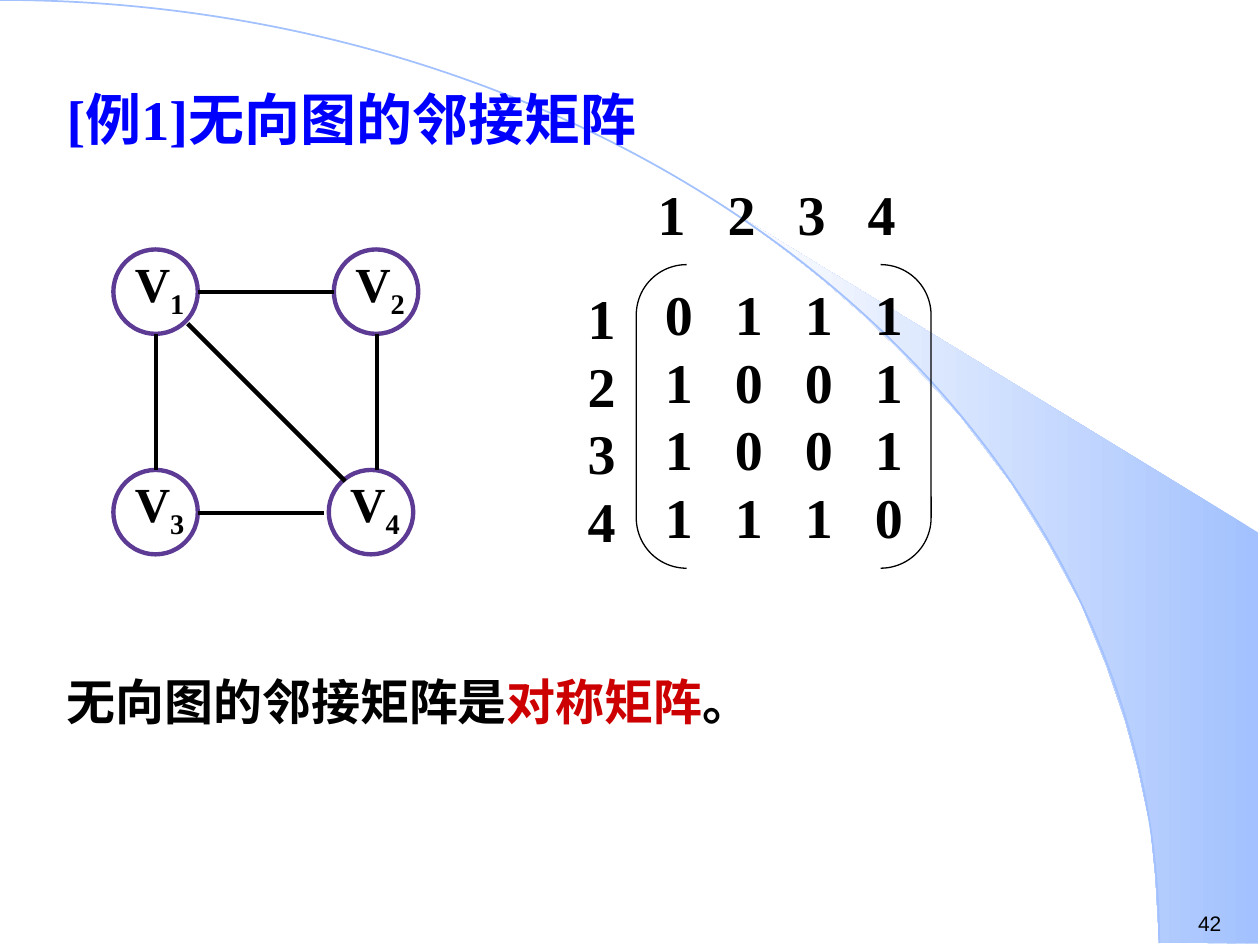
from dataclasses import dataclass

from lxml.etree import SubElement
from pptx import Presentation
from pptx.dml.color import RGBColor as RGB
from pptx.enum.shapes import MSO_CONNECTOR as Connector, MSO_SHAPE as Preset
from pptx.enum.text import MSO_ANCHOR as Anchor, PP_ALIGN as Align
from pptx.oxml.ns import qn
from pptx.util import Pt

PX = 9144  # 100 px to the inch


@dataclass(frozen=True)
class Theme:
    serif: str = "Times New Roman"
    sans: str = "Arial"
    black: RGB = RGB(0x00, 0x00, 0x00)
    blue: RGB = RGB(0x00, 0x00, 0xFF)
    red: RGB = RGB(0xCC, 0x00, 0x00)
    purple: RGB = RGB(0x5D, 0x3B, 0x95)
    sky: RGB = RGB(0xA2, 0xC1, 0xFE)
    pale: RGB = RGB(0xFE, 0xFE, 0xFE)
    large: int = 32
    medium: int = 28
    small: int = 12


THEME = Theme()

# Content
TITLE = "[例1]无向图的邻接矩阵"
CONCLUSION = [("无向图的邻接矩阵是", THEME.black), ("对称矩阵", THEME.red), ("。", THEME.black)]
PAGE_NUMBER = "42"
INDICES = ["1", "2", "3", "4"]
MATRIX = ["0111", "1001", "1001", "1110"]
NODES = {"1": (90, 198), "2": (265, 198), "3": (90, 373), "4": (261, 373)}
DIAMETER = 67
EDGES = [
    (157, 232, 265, 232),
    (299, 265, 299, 373),
    (157, 407, 257, 407),
    (124, 265, 124, 373),
    (149, 257, 274, 382),
]
SWOOSH = [
    (920, 748), (999, 749), (999, 423), (589, 173), (624, 199), (653, 222),
    (685, 250), (716, 280), (762, 330), (803, 384), (832, 431), (858, 479),
    (878, 528), (893, 572), (903, 609), (913, 656), (917, 696),
]
COLUMN_STEP = Pt(40)
MATRIX_LEADING = Pt(38.6)
NODE_LEADING = Pt(33.8)
BODY_LEADING = 0.9


def px(*lengths):
    return [length * PX for length in lengths]


def set_margins(frame, horizontal=0, vertical=0):
    frame.margin_left = frame.margin_right = horizontal * PX
    frame.margin_top = frame.margin_bottom = vertical * PX


def add_box(page, area, horizontal=0, vertical=0):
    frame = page.shapes.add_textbox(*px(*area)).text_frame
    frame.word_wrap = True
    set_margins(frame, horizontal, vertical)
    return frame


def style(para, size, color=THEME.black, name=THEME.serif, bold=True, leading=None):
    para.font.size = Pt(size)
    para.font.name = name
    para.font.bold = bold
    para.font.color.rgb = color
    para.line_spacing = leading


def write_rows(frame, rows, align=Align.LEFT):
    """Write one paragraph per row, with a tab stop for each later column."""
    frame.text = "\n".join("\t".join(row) for row in rows)
    for row, para in zip(rows, frame.paragraphs):
        if len(row) > 1:
            tabs = SubElement(para._p.get_or_add_pPr(), qn("a:tabLst"))
            for column in range(1, len(row)):
                SubElement(tabs, qn("a:tab"), pos=str(column * COLUMN_STEP), algn="l")
        para.alignment = align
        style(para, THEME.large, leading=MATRIX_LEADING)


def add_outline(page, preset, area, color, width):
    shape = page.shapes.add_shape(preset, *px(*area))
    shape.shadow.inherit = False
    shape.fill.background()
    shape.line.color.rgb = color
    shape.line.width = Pt(width)
    return shape


def add_backdrop(page):
    builder = page.shapes.build_freeform(*SWOOSH[0], scale=PX)
    builder.add_line_segments(SWOOSH[1:], close=True)
    swoosh = builder.convert_to_shape()
    swoosh.shadow.inherit = False
    swoosh.line.fill.background()
    swoosh.fill.gradient()
    swoosh.fill.gradient_angle = 180
    for stop, color in zip(swoosh.fill.gradient_stops, (THEME.sky, THEME.pale)):
        stop.color.rgb = color
    add_outline(page, Preset.ARC, (-920, 0, 1840, 1497), THEME.sky, 1)


def add_texts(page):
    number = add_box(page, (941, 718, 59, 30), 10, 5)
    number.text = PAGE_NUMBER
    style(number.paragraphs[0], THEME.small, name=THEME.sans, bold=False)

    title = add_box(page, (43, 68, 835, 70), 10, 5)
    title.text = TITLE
    style(title.paragraphs[0], THEME.large, THEME.blue, leading=BODY_LEADING)

    para = add_box(page, (43, 533, 835, 70), 10, 5).paragraphs[0]
    style(para, THEME.medium, leading=BODY_LEADING)
    for text, color in CONCLUSION:
        span = para.add_run()
        span.text = text
        span.font.color.rgb = color


def add_matrix(page):
    write_rows(add_box(page, (450, 225, 55, 230)), INDICES, Align.CENTER)
    bracket = add_outline(page, Preset.DOUBLE_BRACKET, (505, 210, 234, 241), THEME.black, 0.75)
    bracket.adjustments[0] = 0.171
    frame = bracket.text_frame
    set_margins(frame)
    frame.margin_left = 11 * PX
    frame.vertical_anchor = Anchor.TOP
    write_rows(frame, MATRIX)
    write_rows(add_box(page, (522, 142, 208, 69)), [INDICES])


def add_graph(page):
    for index, (left, top) in NODES.items():
        para = add_box(page, (left + 17, top + 9, 50, 60)).paragraphs[0]
        style(para, THEME.medium, leading=NODE_LEADING)
        para.add_run().text = "V"
        subscript = para.add_run()
        subscript.text = index
        subscript.font._element.set("baseline", "-25000")
        add_outline(page, Preset.OVAL, (left, top, DIAMETER, DIAMETER), THEME.purple, 2.5)
    for ends in EDGES:
        edge = page.shapes.add_connector(Connector.STRAIGHT, *px(*ends))
        edge.line.color.rgb = THEME.black
        edge.line.width = Pt(2.5)
        SubElement(edge._element.spPr, qn("a:effectLst"))


def main():
    deck = Presentation()
    deck.slide_width, deck.slide_height = px(1000, 750)
    page = deck.slides.add_slide(deck.slide_layouts[6])
    add_backdrop(page)
    add_texts(page)
    add_matrix(page)
    add_graph(page)
    deck.save("out.pptx")


if __name__ == "__main__":
    main()
